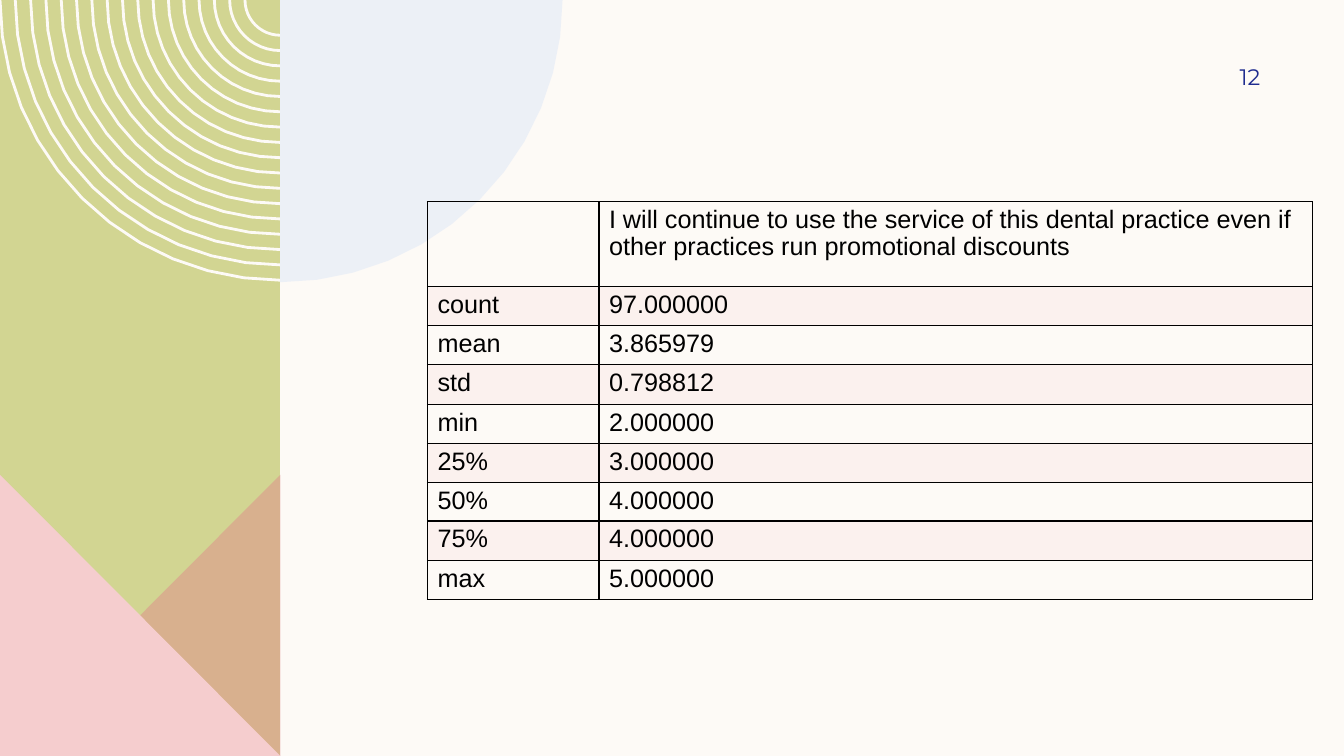
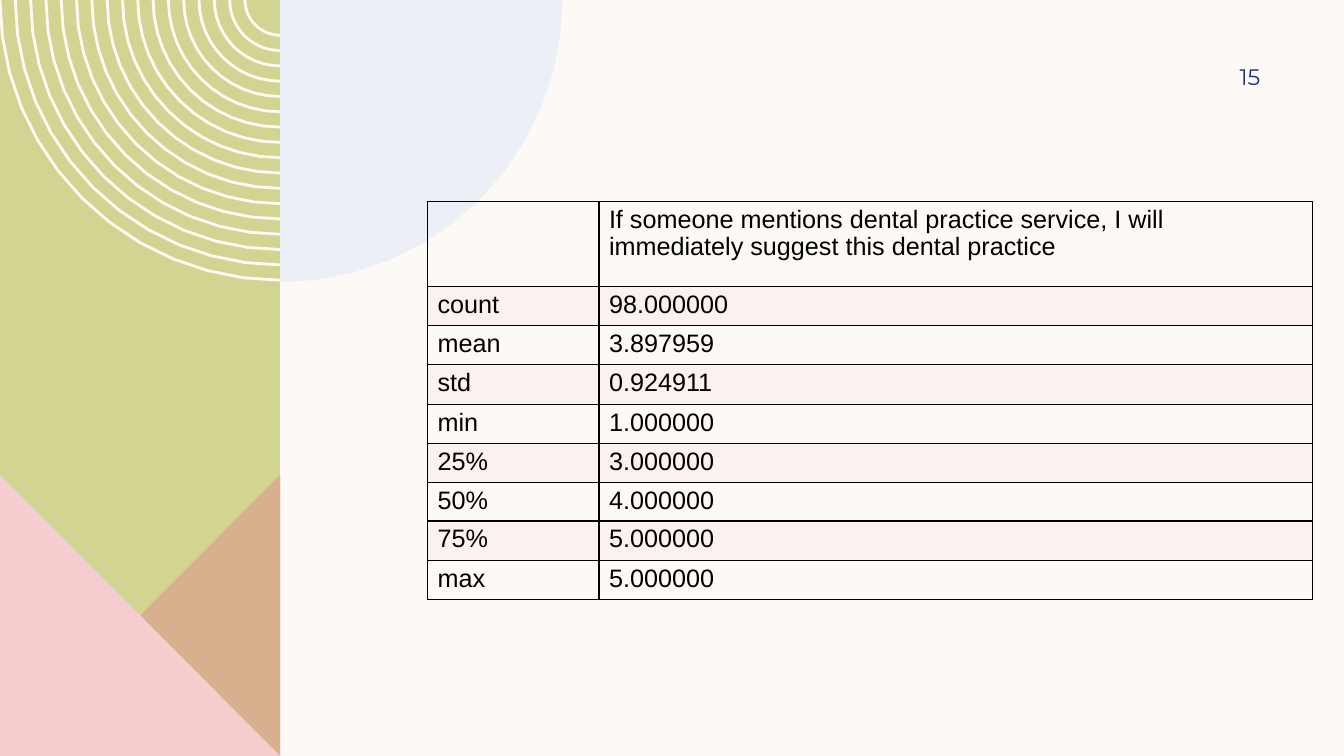
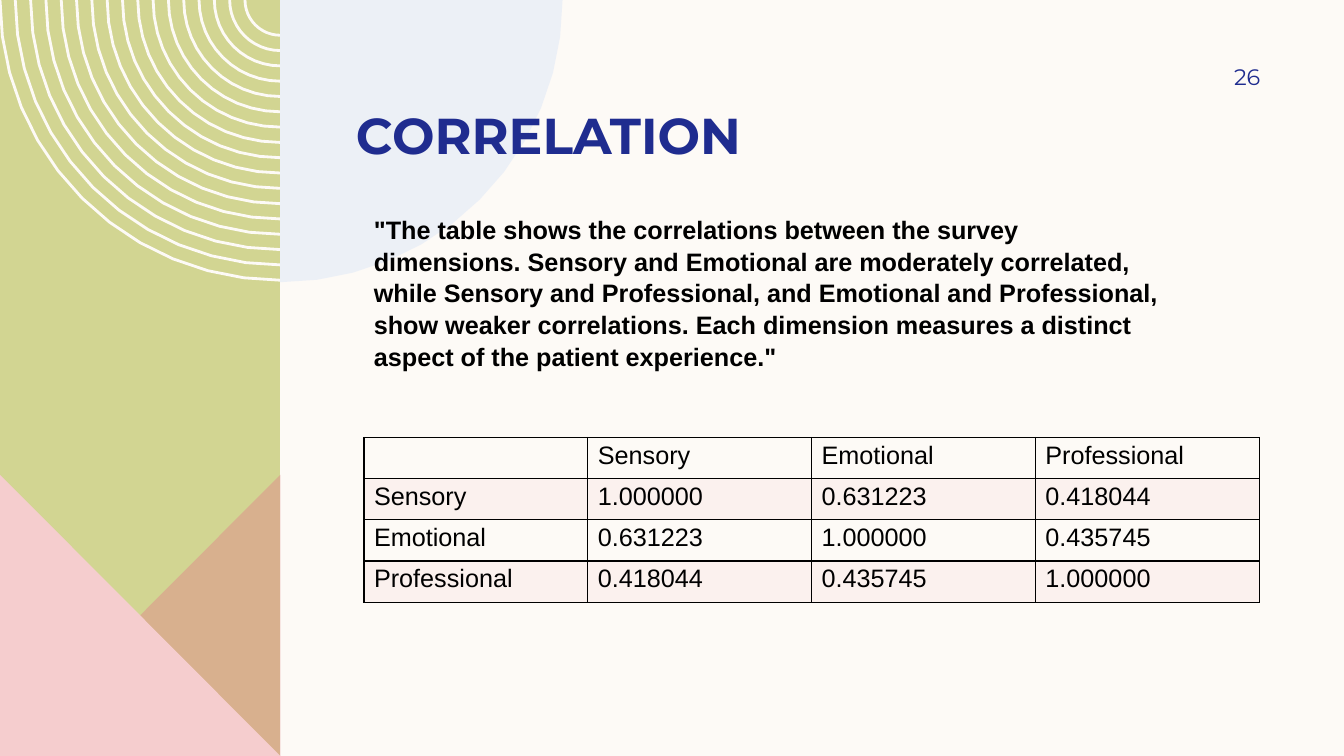
"""Build three survey slides that share one geometric side band."""
from dataclasses import dataclass
from math import cos, pi, sin

from pptx import Presentation
from pptx.dml import color, fill as fills
from pptx.enum import text as kinds
from pptx.oxml import parse_xml, ns
from pptx.util import Inches, Pt

CREAM, GREEN, PINK, ROSE, SKY = "FDFAF6", "D2D592", "F5CDCE", "DE8C8C", "DDE7F6"
NAVY, BLACK = "1F2C8F", "000000"
HEAD, BODY = "Montserrat", "Arial"
BAND, FOOT, PEAK = 2.78, 7.5, 4.71
RINGS, OUTER, INNER = 17, 2.78, 0.35
STEPS = 12
LABELS = ("count", "mean", "std", "min", "25%", "50%", "75%", "max")

Point = tuple[float, float]


@dataclass
class Grid:
    """A table's place, column widths, row heights and words."""
    left: float
    top: float
    cols: list[float]
    rows: list[float]
    cells: list[tuple[str, ...]]


@dataclass
class Page:
    """One slide: its number, its table, and an optional title and quote."""
    number: int
    grid: Grid
    title: str = ""
    quote: str = ""


def rgb(code: str) -> color.RGBColor:
    """Turn a hex string into a colour."""
    return color.RGBColor.from_string(code)


def paint(fill: fills.FillFormat, code: str, alpha: int = 100) -> None:
    """Fill with one colour at a given opacity in percent."""
    fill.solid()
    fill.fore_color.rgb = rgb(code)
    if alpha < 100:
        tone = fill.fore_color._xFill[0]
        tone.append(parse_xml(f'<a:alpha {ns.nsdecls("a")} val="{alpha * 1000}"/>'))


def write(frame, words: str, *, size: float = 18, font: str = BODY, code: str = BLACK,
          bold: bool = False, align=kinds.PP_ALIGN.LEFT, anchor=kinds.MSO_ANCHOR.TOP,
          inset: tuple[float, ...] = (0.1, 0.05, 0.1, 0.05), space: float = 1.0) -> None:
    """Put formatted words in a text frame."""
    frame.word_wrap = True
    frame.auto_size = kinds.MSO_AUTO_SIZE.NONE
    frame.vertical_anchor = anchor
    (frame.margin_left, frame.margin_top,
     frame.margin_right, frame.margin_bottom) = map(Inches, inset)
    style(frame.paragraphs[0], words, size, font, code, bold, align, space)


def style(para, words: str, size: float, font: str, code: str, bold: bool,
          align, space: float) -> None:
    """Write one paragraph as a single formatted run."""
    para.alignment = align
    para.line_spacing = space
    run = para.add_run()
    run.text = words
    run.font.size, run.font.name, run.font.bold = Pt(size), font, bold
    run.font.color.rgb = rgb(code)


def box(slide, left: float, top: float, width: float, height: float, words: str, **form) -> None:
    """Add a text box."""
    shape = slide.shapes.add_textbox(*map(Inches, (left, top, width, height)))
    write(shape.text_frame, words, **form)


def arc(radius: float, start: float, end: float) -> list[Point]:
    """Give points on a circle around the top of the band's edge."""
    turns = (start + (end - start) * i / STEPS for i in range(STEPS + 1))
    return [(BAND + radius * cos(t), radius * sin(t)) for t in turns]


def draw(slide, loops: list[list[Point]], close: bool = True):
    """Draw outlines as one shape without shadow."""
    paths = [[(Inches(x), Inches(y)) for x, y in loop] for loop in loops]
    pen = slide.shapes.build_freeform(*paths[0][0])
    for i, (first, *rest) in enumerate(paths):
        if i:
            pen.move_to(*first)
        pen.add_line_segments(rest, close=close)
    shape = pen.convert_to_shape()
    shape.shadow.inherit = False
    return shape


def solid(slide, loop: list[Point], code: str, alpha: int = 100) -> None:
    """Draw one filled outline."""
    shape = draw(slide, [loop])
    shape.line.fill.background()
    paint(shape.fill, code, alpha)


def decor(slide) -> None:
    """Draw the side band, its rings, the triangles and the pale quarter disc."""
    gap = (OUTER - INNER) / (RINGS - 1)
    solid(slide, [(0, 0), (BAND, 0), (BAND, FOOT), (0, FOOT)], GREEN)
    rings = draw(slide, [arc(OUTER - gap * i, pi, pi / 2) for i in range(RINGS)], close=False)
    rings.fill.background()
    rings.line.width = Pt(2)
    paint(rings.line.fill, CREAM)
    solid(slide, [(BAND, PEAK), (BAND, FOOT), (0, FOOT)], ROSE, 50)
    solid(slide, [(0, PEAK), (BAND, FOOT), (0, FOOT)], PINK)
    solid(slide, [(BAND, 0)] + arc(2.8, 0, pi / 2), SKY, 50)


def border(cell) -> None:
    """Give a cell a thin black line on each side."""
    props = cell._tc.get_or_add_tcPr()
    for i, side in enumerate(("lnL", "lnR", "lnT", "lnB")):
        props.insert(i, parse_xml(
            f'<a:{side} {ns.nsdecls("a")} w="{Pt(1)}"><a:solidFill>'
            f'<a:srgbClr val="{BLACK}"/></a:solidFill></a:{side}>'))


def table(slide, grid: Grid) -> None:
    """Draw a ruled table with every second row tinted."""
    size = map(Inches, (grid.left, grid.top, sum(grid.cols), sum(grid.rows)))
    sheet = slide.shapes.add_table(len(grid.rows), len(grid.cols), *size).table
    sheet.first_row = sheet.horz_banding = False
    for col, width in zip(sheet.columns, grid.cols):
        col.width = Inches(width)
    for r, (row, height, texts) in enumerate(zip(sheet.rows, grid.rows, grid.cells)):
        row.height = Inches(height)
        for cell, words in zip(row.cells, texts):
            if r % 2:
                paint(cell.fill, PINK, 20)
            else:
                cell.fill.background()
            border(cell)
            if words:
                style(cell.text_frame.paragraphs[0], words, 18, BODY, BLACK, False,
                      kinds.PP_ALIGN.LEFT, 0.97)


def stats(claim: str, *values: str) -> Grid:
    """Make the summary table for one survey claim."""
    rows = [0.84] + [0.38 if name == "50%" else 0.39 for name in LABELS]
    return Grid(4.24, 2, [1.7, 7.08], rows, [("", claim), *zip(LABELS, values)])


def build(deck, page: Page) -> None:
    """Add one slide."""
    slide = deck.slides.add_slide(deck.slide_layouts[5 if page.title else 6])
    decor(slide)
    if page.title:
        title = slide.shapes.title
        title.left, title.top, title.width, title.height = map(Inches, (3.43, 0.54, 8.71, 1.09))
        write(title.text_frame, page.title, size=36, font=HEAD, code=NAVY, bold=True,
              anchor=kinds.MSO_ANCHOR.BOTTOM, inset=(0.1, 0, 0.1, 0))
        title.element.getparent().append(title.element)
    table(slide, page.grid)
    box(slide, 11.33, 0.5, 1.17, 0.52, str(page.number), size=16, font=HEAD, code=NAVY,
        align=kinds.PP_ALIGN.RIGHT, anchor=kinds.MSO_ANCHOR.MIDDLE, inset=(0.1, 0.05, 0, 0.05))
    if page.quote:
        box(slide, 3.61, 2.06, 8, 1.92, page.quote, bold=True, space=1.05)


PAGES = [
    Page(12, stats(
        "I will continue to use the service of this dental practice even if other "
        "practices run promotional discounts",
        "97.000000", "3.865979", "0.798812", "2.000000",
        "3.000000", "4.000000", "4.000000", "5.000000")),
    Page(15, stats(
        "If someone mentions dental practice service, I will immediately suggest "
        "this dental practice",
        "98.000000", "3.897959", "0.924911", "1.000000",
        "3.000000", "4.000000", "5.000000", "5.000000")),
    Page(26, Grid(3.61, 4.34, [2.22] * 4, [0.38] + [0.41] * 3, [
        ("", "Sensory", "Emotional", "Professional"),
        ("Sensory", "1.000000", "0.631223", "0.418044"),
        ("Emotional", "0.631223", "1.000000", "0.435745"),
        ("Professional", "0.418044", "0.435745", "1.000000")]),
        "CORRELATION",
        '"The table shows the correlations between the survey dimensions. Sensory and '
        "Emotional are moderately correlated, while Sensory and Professional, and Emotional "
        "and Professional, show weaker correlations. Each dimension measures a distinct "
        'aspect of the patient experience."'),
]


def main() -> None:
    """Build and save the deck."""
    deck = Presentation()
    deck.slide_width, deck.slide_height = Inches(13.33), Inches(FOOT)
    paint(deck.slide_master.background.fill, CREAM)
    for page in PAGES:
        build(deck, page)
    deck.save("out.pptx")


if __name__ == "__main__":
    main()
